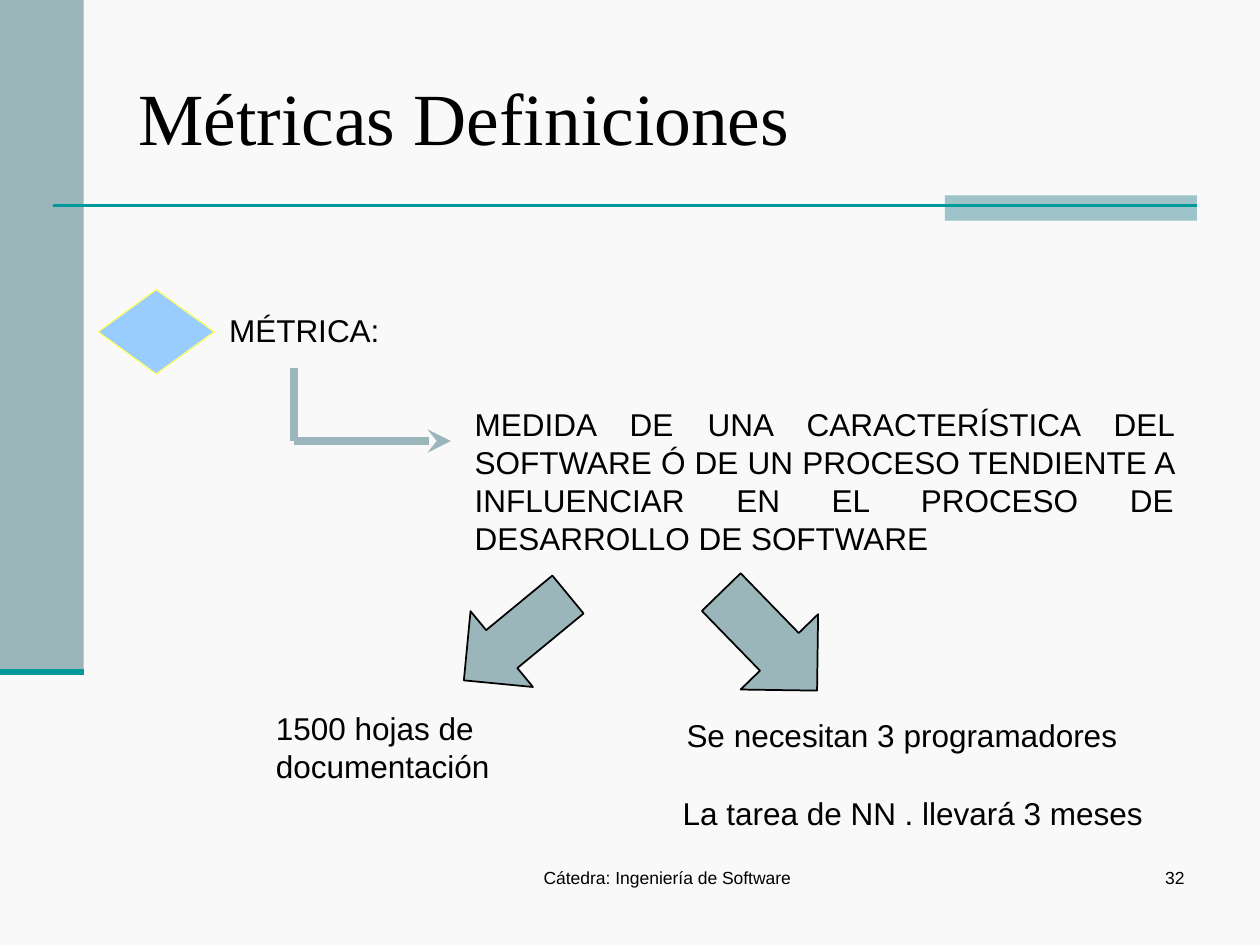
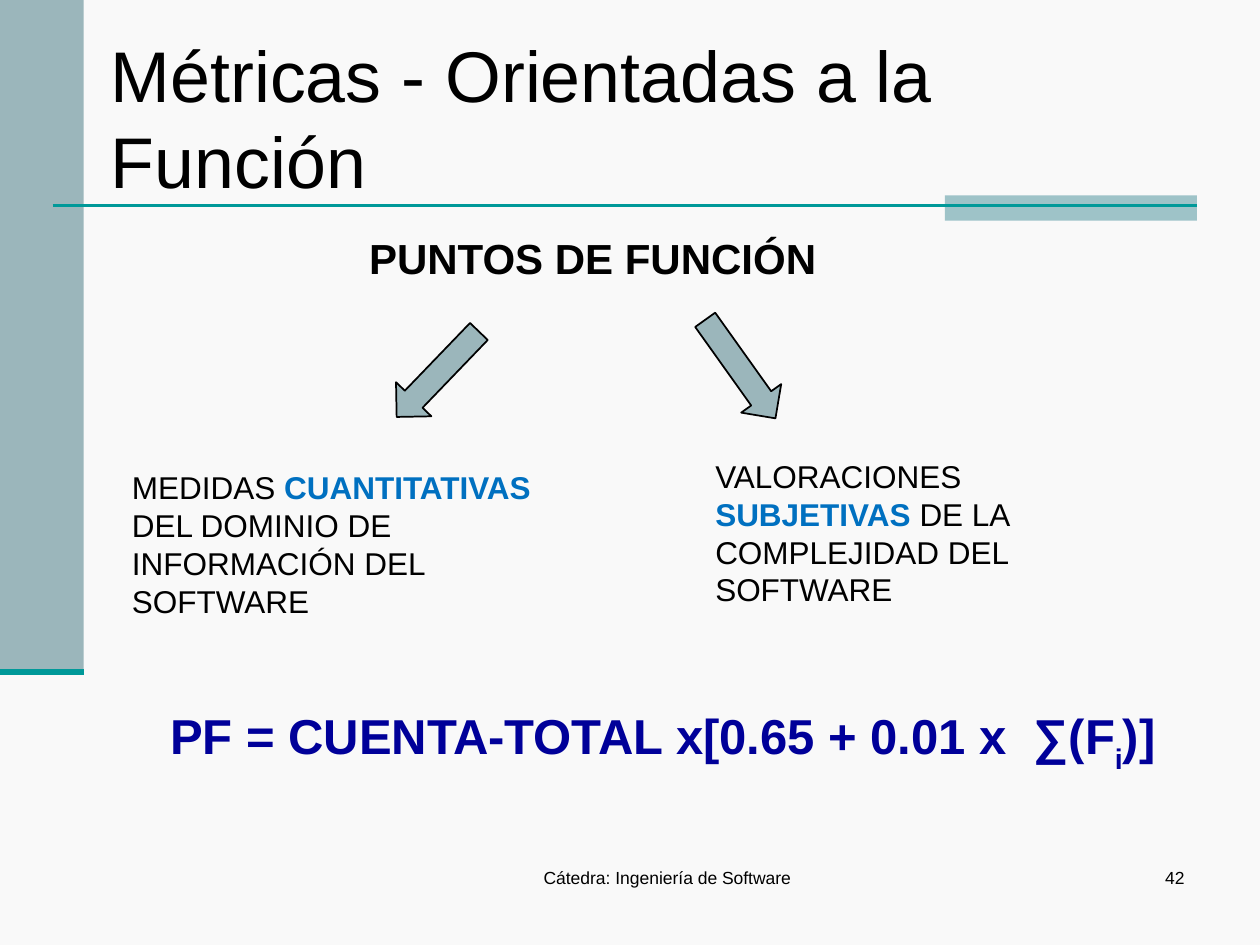
from dataclasses import dataclass

from lxml import etree
from pptx import Presentation, util as u
from pptx.dml.color import RGBColor
from pptx.enum import shapes, text
from pptx.oxml import ns


@dataclass(frozen=True)
class Theme:
    paper: str = "F9F9F9"
    ink: str = "000000"
    band: str = "9BB6BB"
    accent: str = "9EC3C8"
    rule: str = "009999"
    diamond: str = "99CCFF"
    diamond_edge: str = "FFFF66"
    highlight: str = "0070C0"
    formula: str = "000099"
    font: str = "Arial"
    title_font: str = "Times New Roman"
    body_size: float = 18
    heading_size: float = 24
    formula_size: float = 28
    footer_size: float = 10


THEME = Theme()
ALIGN = text.PP_ALIGN
KIND = shapes.MSO_SHAPE

# Content: boxes are (left, top, width, height) in centimetres.
# A text is a list of (words, span format) pairs.
FOOTER = "Cátedra: Ingeniería de Software"
FOOTER_BOX = (9.32, 17.35, 8.26, 1.27)
NUMBER_BOX = (18.85, 17.35, 5.28, 1.27)
STRONG = dict(color=THEME.highlight, bold=True)
FORMULA = dict(size=THEME.formula_size, color=THEME.formula, bold=True)

PAGES = [
    dict(
        title="Métricas Definiciones",
        title_box=(2.54, 0.76, 21.59, 3.18),
        title_format=dict(size=42, font=THEME.title_font),
        number="32",
        diamond=(1.98, 5.84, 2.34, 1.7),
        elbow=[(5.92, 7.42), (5.92, 8.89), (9.09, 8.89)],
        arrows=[
            (KIND.RIGHT_ARROW, (14.12, 11.84, 2.77, 2.18), 45.8),
            (KIND.RIGHT_ARROW, (9.04, 11.86, 2.72, 1.98), 140.5),
        ],
        texts=[
            ((4.37, 6.15, 6.35, 1.02), [("MÉTRICA:", {})], ALIGN.LEFT),
            ((9.32, 8.05, 14.6, 3.3),
             [("MEDIDA DE UNA CARACTERÍSTICA DEL SOFTWARE Ó DE UN PROCESO "
               "TENDIENTE A INFLUENCIAR EN EL PROCESO DE DESARROLLO DE "
               "SOFTWARE", {})], ALIGN.JUSTIFY),
            ((5.31, 14.17, 5.41, 1.78),
             [("1500 hojas de documentación", {})], ALIGN.LEFT),
            ((13.59, 14.3, 11.23, 1.02),
             [("Se necesitan 3 programadores", {})], ALIGN.LEFT),
            ((13.51, 15.88, 10.52, 1.02),
             [("La tarea de NN . llevará 3 meses", {})], ALIGN.LEFT),
        ],
    ),
    dict(
        title="Métricas - Orientadas a la Función",
        title_box=(1.98, 0.76, 22.63, 3.18),
        title_format=dict(size=41),
        number="42",
        arrows=[
            (KIND.DOWN_ARROW, (8.33, 6.35, 0.99, 2.39), 43.9),
            (KIND.DOWN_ARROW, (14.43, 6.22, 0.99, 2.44), 324.5),
        ],
        texts=[
            ((7.19, 4.57, 11.07, 1.6),
             [("PUNTOS DE FUNCIÓN",
               dict(size=THEME.heading_size, bold=True))], ALIGN.LEFT),
            ((2.41, 9.32, 9.09, 3.3),
             [("MEDIDAS ", {}), ("CUANTITATIVAS ", STRONG),
              ("DEL DOMINIO DE INFORMACIÓN DEL SOFTWARE", {})], ALIGN.LEFT),
            ((14.17, 9.09, 9.09, 3.3),
             [("VALORACIONES ", {}), ("SUBJETIVAS ", STRONG),
              ("DE LA COMPLEJIDAD DEL SOFTWARE", {})], ALIGN.LEFT),
            ((3.18, 14.1, 20.75, 3.45),
             [("PF = CUENTA-TOTAL x[0.65 + 0.01 x  ∑(F", FORMULA),
              ("i", dict(FORMULA, baseline=-30)), (")]", FORMULA)],
             ALIGN.LEFT),
        ],
    ),
]


def cm(values):
    return [u.Cm(value) for value in values]


def rgb(code):
    return RGBColor.from_string(code)


# Text
def add_span(para, words, size=THEME.body_size, font=THEME.font,
             color=THEME.ink, bold=False, baseline=0):
    span = para.add_run()
    span.text = words
    span.font.name = font
    span.font.size = u.Pt(size)
    span.font.bold = bold
    span.font.color.rgb = rgb(color)
    if baseline:
        span._r.get_or_add_rPr().set("baseline", str(baseline * 1000))


def write(box, spans, align=ALIGN.LEFT, anchor=text.MSO_ANCHOR.TOP):
    frame = box.text_frame
    frame.word_wrap = True
    frame.auto_size = text.MSO_AUTO_SIZE.NONE
    frame.vertical_anchor = anchor
    para = frame.paragraphs[0]
    para.alignment = align
    for words, style in spans:
        add_span(para, words, **style)


def add_text(page, place, spans, align):
    write(page.shapes.add_textbox(*cm(place)), spans, align)


def add_title(page, words, place, style):
    title = page.shapes.title
    title.left, title.top, title.width, title.height = cm(place)
    write(title, [(words, style)], anchor=text.MSO_ANCHOR.MIDDLE)


# Shapes and lines
def add_figure(page, kind, place, fill, edge=None, weight=1, turn=0):
    figure = page.shapes.add_shape(kind, *cm(place))
    figure.shadow.inherit = False
    figure.rotation = turn
    figure.fill.solid()
    figure.fill.fore_color.rgb = rgb(fill)
    if edge:
        figure.line.color.rgb = rgb(edge)
        figure.line.width = u.Pt(weight)
    else:
        figure.line.fill.background()


def add_line(page, start, end, color, weight, head=None):
    line = page.shapes.add_connector(
        shapes.MSO_CONNECTOR.STRAIGHT, *cm(start + end))
    line.line.color.rgb = rgb(color)
    line.line.width = u.Pt(weight)
    if head:
        etree.SubElement(line.line._get_or_add_ln(), ns.qn("a:tailEnd"),
                         type=head)
    etree.SubElement(line._element.spPr, ns.qn("a:effectLst"))


# Shared frame: side band, title rule and footer
def add_frame(page, number):
    add_figure(page, KIND.RECTANGLE, (0, 0, 1.69, 13.55), THEME.band)
    add_figure(page, KIND.RECTANGLE, (19.05, 3.94, 5.08, 0.51), THEME.accent)
    add_line(page, (1.06, 4.14), (24.13, 4.14), THEME.rule, 1.5)
    add_line(page, (0, 13.55), (1.69, 13.55), THEME.rule, 3.5)
    small = dict(size=THEME.footer_size)
    add_text(page, FOOTER_BOX, [(FOOTER, small)], ALIGN.CENTER)
    add_text(page, NUMBER_BOX, [(number, small)], ALIGN.RIGHT)


def add_page(deck, content):
    page = deck.slides.add_slide(deck.slide_layouts.get_by_name("Title Only"))
    add_frame(page, content["number"])
    add_title(page, content["title"], content["title_box"],
              content["title_format"])
    if "diamond" in content:
        add_figure(page, KIND.DIAMOND, content["diamond"], THEME.diamond,
                   THEME.diamond_edge, 0.75)
    if "elbow" in content:
        top, corner, tip = content["elbow"]
        add_line(page, corner, tip, THEME.band, 4.5, head="stealth")
        add_line(page, top, corner, THEME.band, 4.5)
    for place, spans, align in content["texts"]:
        add_text(page, place, spans, align)
    for kind, place, turn in content["arrows"]:
        add_figure(page, kind, place, THEME.band, THEME.ink, turn=turn)


def main():
    deck = Presentation()
    deck.slide_width, deck.slide_height = cm((25.4, 19.05))
    paper = deck.slide_master.background.fill
    paper.solid()
    paper.fore_color.rgb = rgb(THEME.paper)
    for content in PAGES:
        add_page(deck, content)
    deck.save("out.pptx")


if __name__ == "__main__":
    main()
